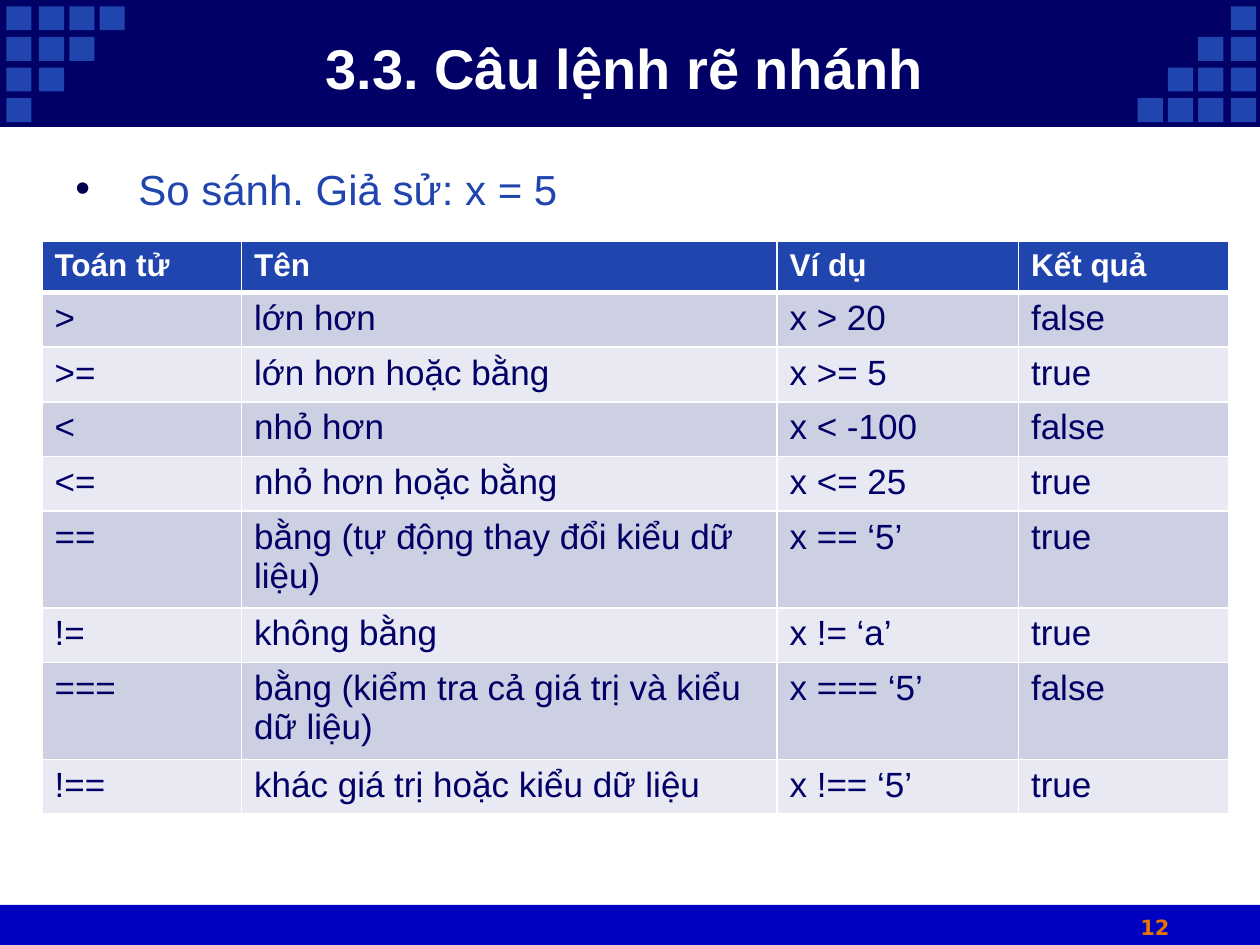
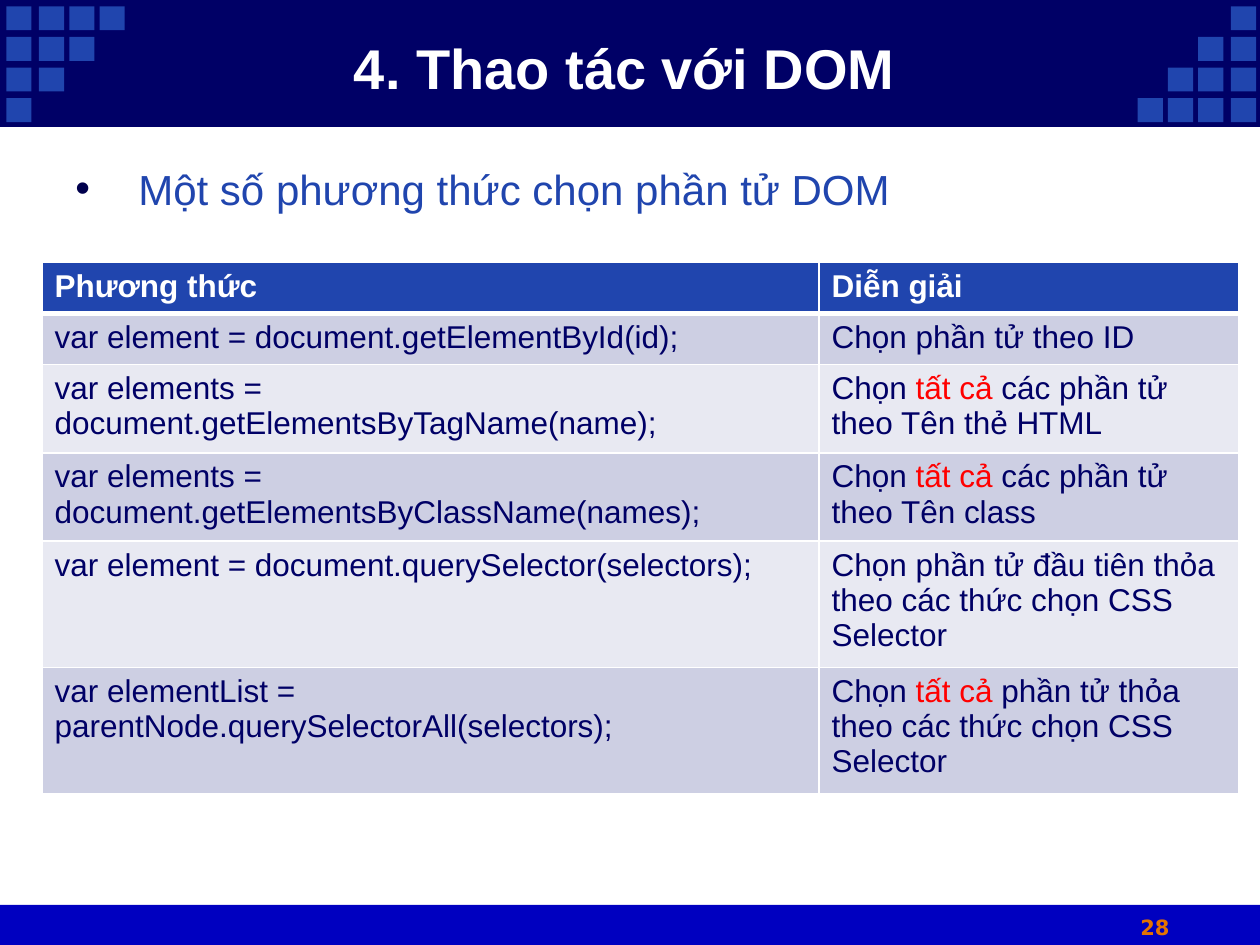
from lxml.etree import SubElement
from pptx import Presentation
from pptx.dml.color import RGBColor
from pptx.enum.shapes import MSO_SHAPE as SHAPE
from pptx.enum.text import MSO_ANCHOR as ANCHOR, MSO_AUTO_SIZE as AUTO, PP_ALIGN as ALIGN
from pptx.oxml.ns import qn
from pptx.util import Pt

COLORS = {
    "navy": "000066",
    "blue": "2045AE",
    "footer": "0000C0",
    "bullet": "00004D",
    "number": "E57300",
    "red": "FF0000",
    "white": "FFFFFF",
    "odd_row": "CDCFE3",
    "even_row": "E8E9F2",
}
FONT = "Arial"
WIDTH, HEIGHT = 720, 540
SQUARE_X = [3.6, 22.3, 39.6, 56.9]
ROW_HEIGHT = 29.2

OPERATORS = [
    ["Toán tử", "Tên", "Ví dụ", "Kết quả"],
    [">", "lớn hơn", "x > 20", "false"],
    [">=", "lớn hơn hoặc bằng", "x >= 5", "true"],
    ["<", "nhỏ hơn", "x < -100", "false"],
    ["<=", "nhỏ hơn hoặc bằng", "x <= 25", "true"],
    ["==", "bằng (tự động thay đổi kiểu dữ liệu)", "x == ‘5’", "true"],
    ["!=", "không bằng", "x != ‘a’", "true"],
    ["===", "bằng (kiểm tra cả giá trị và kiểu dữ liệu)", "x === ‘5’", "false"],
    ["!==", "khác giá trị hoặc kiểu dữ liệu", "x !== ‘5’", "true"],
]
# Text between bars is red.
METHODS = [
    ["Phương thức", "Diễn giải"],
    ["var element = document.getElementById(id);", "Chọn phần tử theo ID"],
    ["var elements = document.getElementsByTagName(name);",
     "Chọn |tất cả |các phần tử theo Tên thẻ HTML"],
    ["var elements = document.getElementsByClassName(names);",
     "Chọn |tất cả |các phần tử theo Tên class"],
    ["var element = document.querySelector(selectors);",
     "Chọn phần tử đầu tiên thỏa theo các thức chọn CSS Selector"],
    ["var elementList = parentNode.querySelectorAll(selectors);",
     "Chọn |tất cả| phần tử thỏa theo các thức chọn CSS Selector"],
]


def rgb(name):
    return RGBColor.from_string(COLORS[name])


def style_run(r, size, color, bold=False, font=FONT):
    r.font.name = font
    r.font.size = Pt(size)
    r.font.bold = bold
    r.font.color.rgb = rgb(color)


def add_rect(s, x, y, w, h, color):
    sp = s.shapes.add_shape(SHAPE.RECTANGLE, Pt(x), Pt(y), Pt(w), Pt(h))
    sp.shadow.inherit = False
    sp.fill.solid()
    sp.fill.fore_color.rgb = rgb(color)
    sp.line.fill.background()
    return sp


def add_text(s, x, y, w, h, text):
    tf = s.shapes.add_textbox(Pt(x), Pt(y), Pt(w), Pt(h)).text_frame
    tf.word_wrap = True
    tf.text = text
    return tf.paragraphs[0]


def add_frame(s):
    add_rect(s, 0, 517, WIDTH, HEIGHT - 517, "footer")
    band = add_rect(s, 0, 0, WIDTH, 72, "navy")
    band.line.color.rgb = rgb("navy")
    band.line.width = Pt(0.75)
    for row in range(4):
        y = 3.6 + 17.5 * row
        for x in SQUARE_X[:4 - row]:
            add_rect(s, x, y, 14.4, 13.7, "blue")
        for x in SQUARE_X[:row + 1]:
            add_rect(s, 707 - x, y, 14.4, 13.7, "blue")


def add_number(s, number):
    p = add_text(s, 636, 519, 48, 21, str(number))
    p.alignment = ALIGN.CENTER
    style_run(p.runs[0], 12, "number", True, "DejaVu Sans")


def set_title(s, text):
    title = s.shapes.title
    title.element.getparent().append(title.element)
    title.left, title.top, title.width, title.height = Pt(66), Pt(16), Pt(582), Pt(45)
    tf = title.text_frame
    tf.text = text
    tf.auto_size = AUTO.NONE
    tf.vertical_anchor = ANCHOR.MIDDLE
    p = tf.paragraphs[0]
    p.alignment = ALIGN.CENTER
    style_run(p.runs[0], 32, "white", True)


def add_bullet(s, text):
    p = add_text(s, 36, 85, 648, 413, text)
    p.alignment = ALIGN.JUSTIFY
    p.line_spacing = Pt(33.6)
    p.space_before = Pt(4.8)
    style_run(p.runs[0], 24, "blue")
    pPr = p._p.get_or_add_pPr()
    pPr.set("marL", str(Pt(36)))
    pPr.set("indent", str(-Pt(36)))
    color = SubElement(pPr, qn("a:buClr"))
    SubElement(color, qn("a:srgbClr"), val=COLORS["bullet"])
    SubElement(pPr, qn("a:buFont"), typeface=FONT)
    SubElement(pPr, qn("a:buChar"), char="•")


def set_borders(cell, row):
    tcPr = cell._tc.get_or_add_tcPr()
    widths = {"L": 1, "R": 1, "T": 3 if row == 1 else 1, "B": 3 if row == 0 else 1}
    for side, width in widths.items():
        ln = SubElement(tcPr, qn(f"a:ln{side}"), w=str(Pt(width)))
        fill = SubElement(ln, qn("a:solidFill"))
        SubElement(fill, qn("a:srgbClr"), val=COLORS["white"])


def fill_cell(cell, row, text, size):
    header = row == 0
    set_borders(cell, row)
    cell.fill.solid()
    cell.fill.fore_color.rgb = rgb("blue" if header else "odd_row" if row % 2 else "even_row")
    p = cell.text_frame.paragraphs[0]
    for i, part in enumerate(text.split("|")):
        r = p.add_run()
        r.text = part
        color = "white" if header else "red" if i % 2 else "navy"
        style_run(r, 18 if header else size, color, header)


def add_grid(s, y, col_widths, rows, size):
    frame = s.shapes.add_table(len(rows), len(col_widths), Pt(24), Pt(y),
                               Pt(sum(col_widths)), Pt(ROW_HEIGHT * len(rows)))
    table = frame.table
    for col, width in zip(table.columns, col_widths):
        col.width = Pt(width)
    for i, texts in enumerate(rows):
        table.rows[i].height = Pt(ROW_HEIGHT)
        for j, text in enumerate(texts):
            fill_cell(table.cell(i, j), i, text, size)


def add_slide(prs, number, title, bullet):
    s = prs.slides.add_slide(prs.slide_layouts[5])
    add_frame(s)
    add_number(s, number)
    set_title(s, title)
    add_bullet(s, bullet)
    return s


def main():
    prs = Presentation()
    prs.slide_width, prs.slide_height = Pt(WIDTH), Pt(HEIGHT)
    s = add_slide(prs, 12, "3.3. Câu lệnh rẽ nhánh", "So sánh. Giả sử: x = 5")
    add_grid(s, 138, [114, 306, 138, 120], OPERATORS, 20)
    s = add_slide(prs, 28, "4. Thao tác với DOM", "Một số phương thức chọn phần tử DOM")
    add_grid(s, 150, [444, 240], METHODS, 18)
    prs.save("out.pptx")


main()
